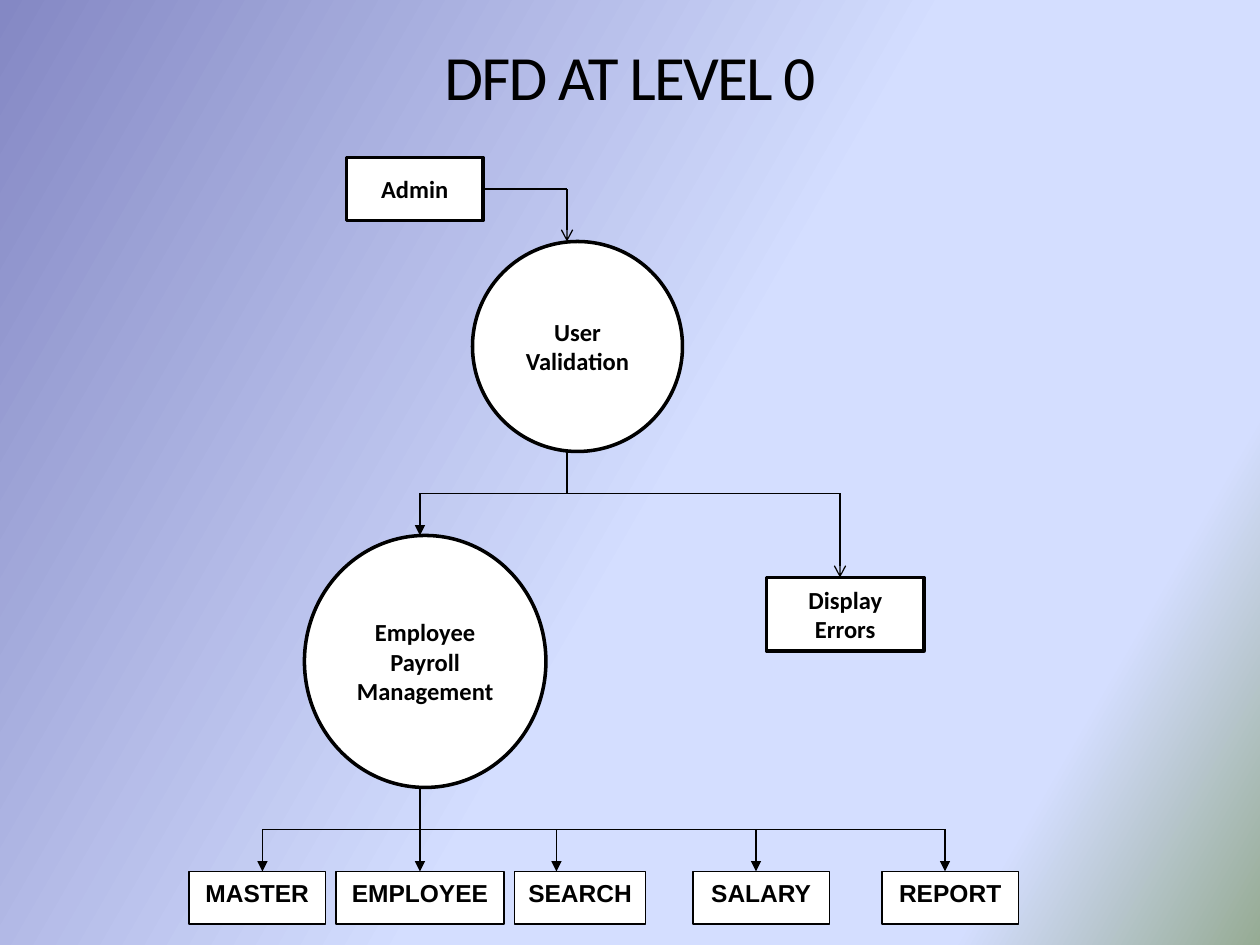
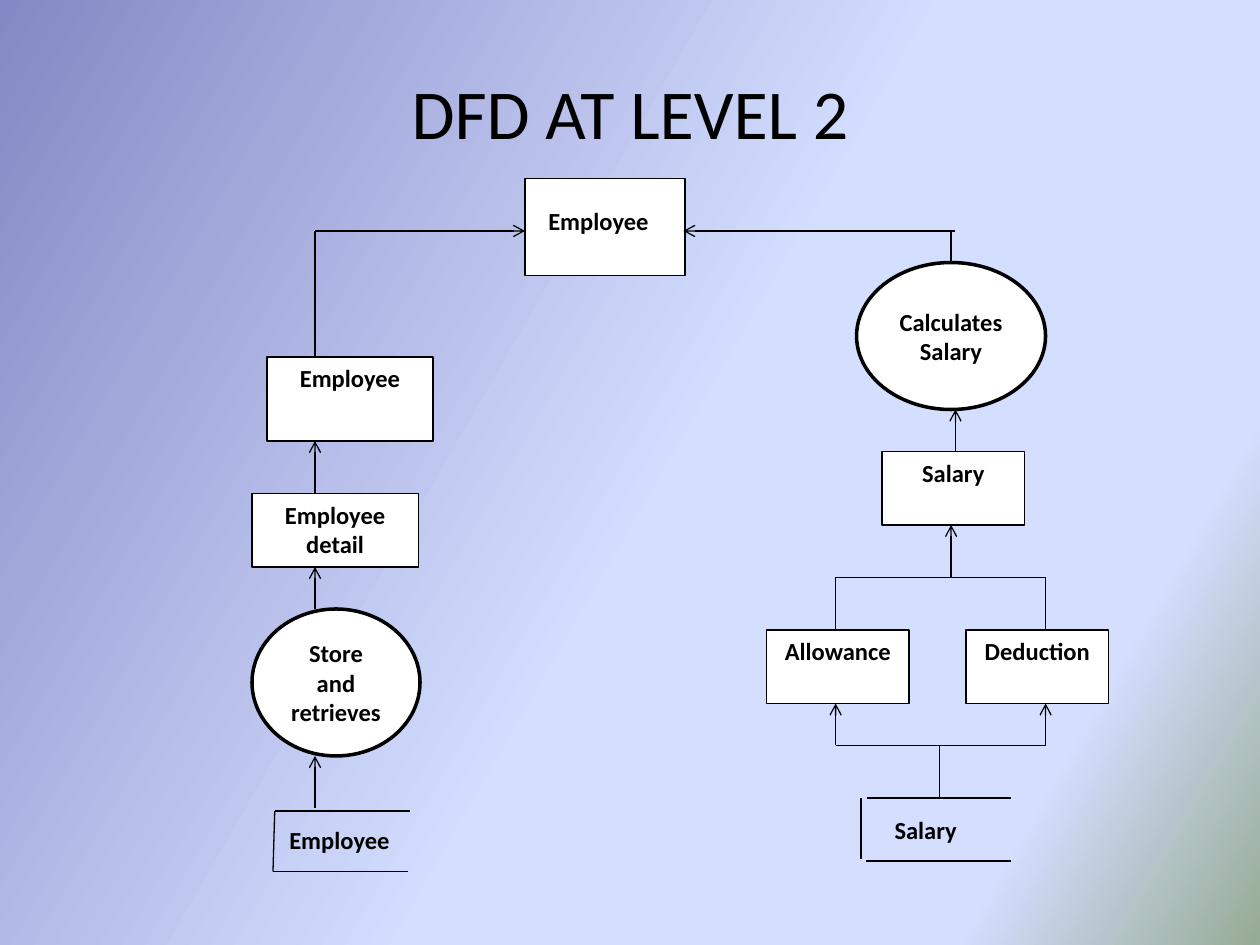
from itertools import pairwise

from lxml.etree import SubElement
from pptx import Presentation
from pptx.dml.color import RGBColor
from pptx.enum.shapes import MSO_CONNECTOR, MSO_SHAPE
from pptx.enum.text import MSO_ANCHOR, PP_ALIGN
from pptx.oxml.ns import qn
from pptx.util import Pt

BLACK, WHITE = "000000", "FFFFFF"
BACKDROP = [(0, "8488C4"), (53, "D4DEFF"), (83, "D4DEFF"), (100, "96AB94")]
BACKDROP_ANGLE = 30
THICK, THIN = 2, 0.75
BODY_SIZE = 14

# Node styles: preset, outline width, anchor, font, space after
STYLES = {
    "entity": (MSO_SHAPE.RECTANGLE, THICK, MSO_ANCHOR.MIDDLE, "Calibri", 0),
    "process": (MSO_SHAPE.OVAL, THICK, MSO_ANCHOR.MIDDLE, "Calibri", 0),
    "module": (MSO_SHAPE.RECTANGLE, THIN, MSO_ANCHOR.TOP, "Arial", 0),
    "data": (MSO_SHAPE.RECTANGLE, THIN, MSO_ANCHOR.TOP, "Calibri", 10),
}

# Modules of the payroll system: name, left, width, arrow position
MODULES = [
    ("MASTER", 108, 78, 150),
    ("EMPLOYEE", 192, 96, 240),
    ("SEARCH", 294, 75, 318),
    ("SALARY", 396, 78, 432),
    ("REPORT", 504, 78, 540),
]
MODULE_BUS, MODULE_TOP, MODULE_HEIGHT = 474, 498, 30

# Nodes: style, text, (left, top, width, height)
# Flows: arrowhead or None, points passed on the way
LEVEL_0 = {
    "title": ("DFD AT LEVEL 0", (36, 18, 648, 66), 36, -1),
    "nodes": [
        ("entity", "Admin", (198, 90, 78, 36)),
        ("process", "User Validation", (270, 138, 120, 120)),
        ("process", "Employee Payroll Management", (174, 306, 138, 144)),
        ("entity", "Display Errors", (438, 330, 90, 42)),
    ] + [("module", name, (left, MODULE_TOP, width, MODULE_HEIGHT))
         for name, left, width, _ in MODULES],
    "labels": [],
    "flows": [
        ("arrow", [(276, 108), (324, 108), (324, 138)]),
        (None, [(324, 258), (324, 282)]),
        (None, [(240, 282), (480, 282)]),
        ("triangle", [(240, 282), (240, 306)]),
        ("arrow", [(480, 282), (480, 330)]),
        (None, [(240, 450), (240, MODULE_BUS)]),
        (None, [(MODULES[0][3], MODULE_BUS), (MODULES[-1][3], MODULE_BUS)]),
    ] + [("triangle", [(x, MODULE_BUS), (x, MODULE_TOP)])
         for *_, x in MODULES],
}

LEVEL_2 = {
    "title": ("DFD AT LEVEL 2", (0, 36, 720, 55.5), 40, 0),
    "nodes": [
        ("data", "", (300, 102, 91.5, 55.5)),
        ("data", "Employee", (152.5, 204, 95, 48)),
        ("data", "Employee detail", (144, 282, 95, 42)),
        ("process", "Store and retrieves", (144, 348, 96, 84)),
        ("process", "Calculates Salary", (489.5, 150, 108, 84)),
        ("data", "Salary", (504, 258, 81.5, 42)),
        ("data", "Allowance", (438, 360, 81.5, 42)),
        ("data", "Deduction", (552, 360, 81.5, 42)),
    ],
    "labels": [
        ("Employee", (304, 114, 76, 24.5)),
        ("Employee", (156, 468, 76, 24.5)),
        ("Salary", (496, 462, 66, 24.5)),
    ],
    "flows": [
        # Employee branch
        ("arrow", [(180, 462), (180, 432)]),
        ("arrow", [(180, 348), (180, 324)]),
        ("arrow", [(180, 282), (180, 252)]),
        ("arrow", [(180, 204), (180, 132), (300, 132)]),
        # Salary branch
        (None, [(537, 456), (537, 426)]),
        (None, [(477.5, 426), (597.5, 426)]),
        ("arrow", [(477.5, 426), (477.5, 402)]),
        ("arrow", [(597.5, 426), (597.5, 402)]),
        (None, [(477.5, 360), (477.5, 330), (597.5, 330), (597.5, 360)]),
        ("arrow", [(543.5, 330), (543.5, 300)]),
        ("arrow", [(546, 258), (546, 234)]),
        (None, [(543.5, 150), (543.5, 132)]),
        ("arrow", [(546, 132), (390.5, 132)]),
        # Open-ended data stores
        (None, [(234, 463.5), (157, 463.5), (156, 498), (233, 498)]),
        (None, [(495.5, 456), (578, 456)]),
        (None, [(492, 456), (492, 491)]),
        (None, [(495, 492), (578, 492)]),
    ],
}


def rgb(value):
    """Turn a hex string into a colour."""
    return RGBColor.from_string(value)


def set_backdrop(master):
    """Give the master the diagonal gradient that all slides share."""
    master.background.fill.gradient()
    gradient = master.element.find(".//" + qn("a:gradFill"))
    for child in list(gradient):
        gradient.remove(child)
    stops = SubElement(gradient, qn("a:gsLst"))
    for position, value in BACKDROP:
        stop = SubElement(stops, qn("a:gs"), pos=str(position * 1000))
        SubElement(stop, qn("a:srgbClr"), val=value)
    SubElement(gradient, qn("a:lin"), ang=str(BACKDROP_ANGLE * 60000), scaled="0")


def write(frame, text, font="Calibri", size=BODY_SIZE, bold=True, after=0):
    """Write one centred black paragraph and return it."""
    frame.word_wrap = True
    frame.text = text
    paragraph = frame.paragraphs[0]
    paragraph.alignment = PP_ALIGN.CENTER
    paragraph.space_after = Pt(after)
    for run in paragraph.runs:
        run.font.name, run.font.size, run.font.bold = font, Pt(size), bold
        run.font.color.rgb = rgb(BLACK)
    return paragraph


def add_title(slide, text, box, size, spacing):
    """Add the slide title with its letter spacing in points."""
    frame = slide.shapes.add_textbox(*map(Pt, box)).text_frame
    title = write(frame, text, size=size, bold=False)
    if spacing:
        title.runs[0].font._element.set("spc", str(spacing * 100))


def add_node(slide, style, text, box):
    """Add a white, black-edged node of the diagram."""
    preset, edge, anchor, font, after = STYLES[style]
    node = slide.shapes.add_shape(preset, *map(Pt, box))
    node.shadow.inherit = False
    node.fill.solid()
    node.fill.fore_color.rgb = rgb(WHITE)
    node.line.color.rgb = rgb(BLACK)
    node.line.width = Pt(edge)
    node.text_frame.vertical_anchor = anchor
    if text:
        write(node.text_frame, text, font, after=after)


def add_flow(slide, head, points):
    """Join the points with straight lines; the last one carries the head."""
    for start, end in pairwise(points):
        line = slide.shapes.add_connector(
            MSO_CONNECTOR.STRAIGHT, *map(Pt, start + end))
        line.line.color.rgb = rgb(BLACK)
        line.line.width = Pt(THIN)
        properties = line._element.spPr
        SubElement(properties, qn("a:effectLst"))
    if head:
        SubElement(properties.find(qn("a:ln")), qn("a:tailEnd"), type=head)


def add_diagram(deck, level):
    """Build one slide from the description of a diagram level."""
    slide = deck.slides.add_slide(deck.slide_layouts[6])
    add_title(slide, *level["title"])
    for node in level["nodes"]:
        add_node(slide, *node)
    for flow in level["flows"]:
        add_flow(slide, *flow)
    for text, box in level["labels"]:
        write(slide.shapes.add_textbox(*map(Pt, box)).text_frame, text)


deck = Presentation()
deck.slide_width, deck.slide_height = Pt(720), Pt(540)
set_backdrop(deck.slide_master)
for level in (LEVEL_0, LEVEL_2):
    add_diagram(deck, level)
deck.save("out.pptx")
